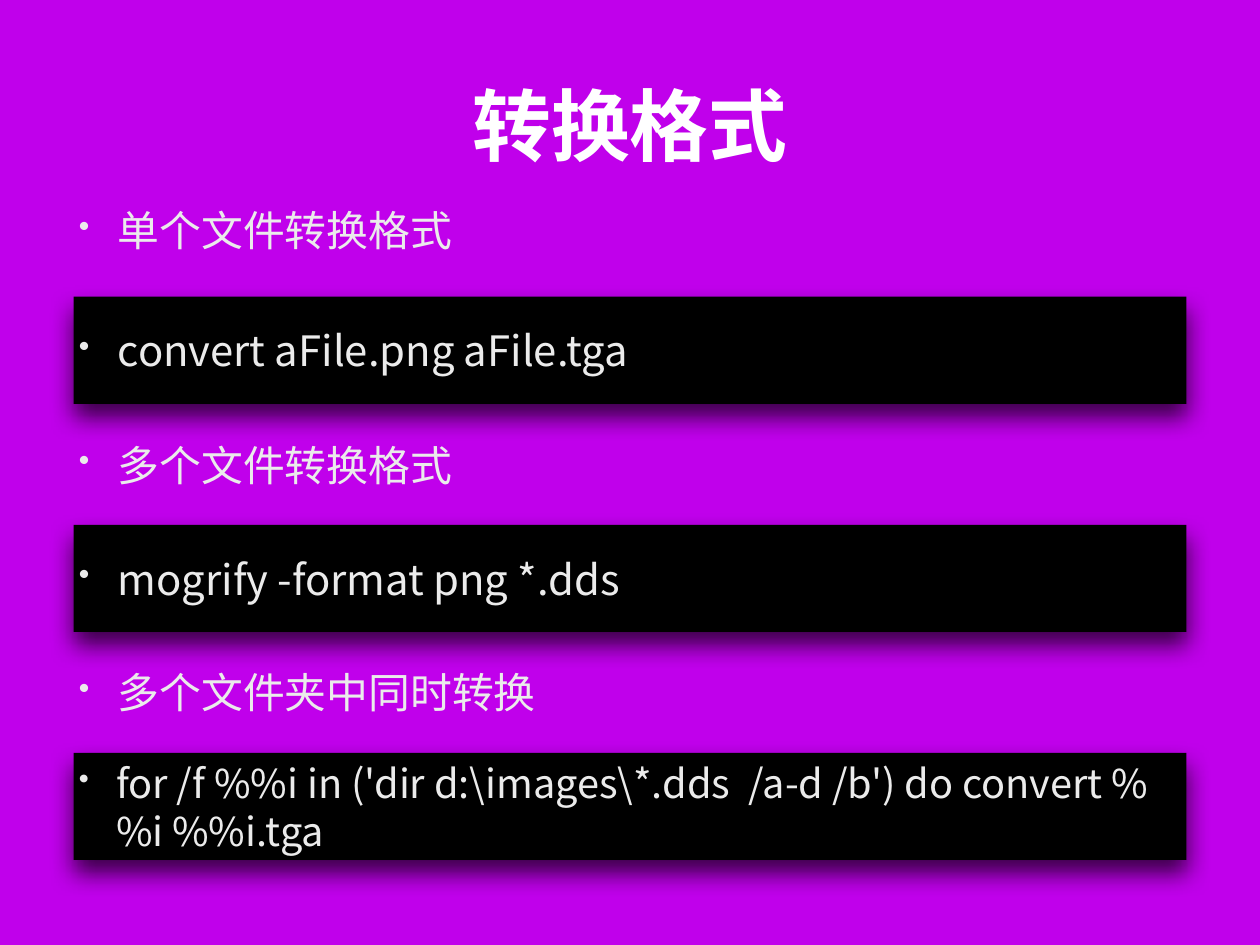
"""Build the slide on converting image formats from the command line."""
from lxml.etree import SubElement
from pptx import Presentation
from pptx.dml.color import RGBColor
from pptx.enum.shapes import MSO_SHAPE
from pptx.enum.text import MSO_ANCHOR, PP_ALIGN
from pptx.oxml.ns import qn
from pptx.util import Inches, Pt

TITLE = "转换格式"
STEPS = [
    {"label": "单个文件转换格式", "label_top": 2.05,
     "command": "convert aFile.png aFile.tga", "size": 34, "indent": 0.44},
    {"label": "多个文件转换格式", "label_top": 4.7,
     "command": "mogrify -format png *.dds", "size": 34, "indent": 0.44},
    {"label": "多个文件夹中同时转换", "label_top": 7.27,
     "command": r"for /f %%i in ('dir d:\images\*.dds  /a-d /b') do convert %%i %%i.tga",
     "size": 32.3, "indent": 0.42},
]
COLORS = {"background": "C000EB", "title": "FFFFFF", "text": "EBEBEB", "command": "000000"}
FONT = "Noto Sans CJK SC"
LEFT, FULL_WIDTH, LABEL_WIDTH = 0.83, 12.56, 8.13
LABEL_HEIGHT, COMMAND_HEIGHT = 1.09, 1.21
COMMAND_TOP, COMMAND_PITCH = 3.35, 2.575


def color(name):
    """Return the named colour."""
    return RGBColor.from_string(COLORS[name])


def write(shape, text, size, color_name, bold=False, indent=None):
    """Put one paragraph in a shape, bulleted if an indent is given."""
    frame = shape.text_frame
    frame.word_wrap = True
    frame.vertical_anchor = MSO_ANCHOR.MIDDLE
    frame.margin_left = frame.margin_right = Inches(0.06)
    frame.margin_top = frame.margin_bottom = Inches(0.06)
    paragraph = frame.paragraphs[0]
    paragraph.text = text
    paragraph.alignment = PP_ALIGN.LEFT if indent else PP_ALIGN.CENTER
    properties = paragraph._p.get_or_add_pPr()
    if indent:
        properties.set("marL", str(Inches(indent)))
        properties.set("indent", str(-Inches(indent)))
        SubElement(properties, qn("a:buSzPct"), val="75000")
        SubElement(properties, qn("a:buChar"), char="•")
    font = paragraph.font
    font.name, font.size, font.bold = FONT, Pt(size), bold
    font.color.rgb = color(color_name)
    SubElement(properties.find(qn("a:defRPr")), qn("a:ea"), typeface=FONT)


def add_text(slide, top, width, height, *content, **options):
    """Add a text box at the left margin."""
    box = slide.shapes.add_textbox(Inches(LEFT), Inches(top), Inches(width), Inches(height))
    write(box, *content, **options)


def add_command(slide, top, command, size, indent):
    """Add a black command panel with a soft shadow below it."""
    panel = slide.shapes.add_shape(
        MSO_SHAPE.RECTANGLE, Inches(LEFT), Inches(top), Inches(FULL_WIDTH), Inches(COMMAND_HEIGHT))
    panel.fill.solid()
    panel.fill.fore_color.rgb = color("command")
    panel.line.fill.background()
    panel.shadow.inherit = False
    effects = panel._element.spPr.find(qn("a:effectLst"))
    shadow = SubElement(effects, qn("a:outerShdw"), blurRad=str(Pt(20)), dist=str(Pt(10)),
                        dir="5400000", rotWithShape="0")
    shade = SubElement(shadow, qn("a:srgbClr"), val=COLORS["command"])
    SubElement(shade, qn("a:alpha"), val="70000")
    write(panel, command, size, "text", indent=indent)


def main():
    """Build and save the slide."""
    presentation = Presentation()
    presentation.slide_width, presentation.slide_height = Inches(14.22), Inches(10.67)
    slide = presentation.slides.add_slide(presentation.slide_layouts[6])
    slide.background.fill.solid()
    slide.background.fill.fore_color.rgb = color("background")
    add_text(slide, 0.22, FULL_WIDTH, 2.35, TITLE, 64, "title", bold=True)
    for index, step in enumerate(STEPS):
        add_text(slide, step["label_top"], LABEL_WIDTH, LABEL_HEIGHT,
                 step["label"], 34, "text", indent=0.44)
        add_command(slide, COMMAND_TOP + index * COMMAND_PITCH,
                    step["command"], step["size"], step["indent"])
    presentation.save("out.pptx")


if __name__ == "__main__":
    main()
